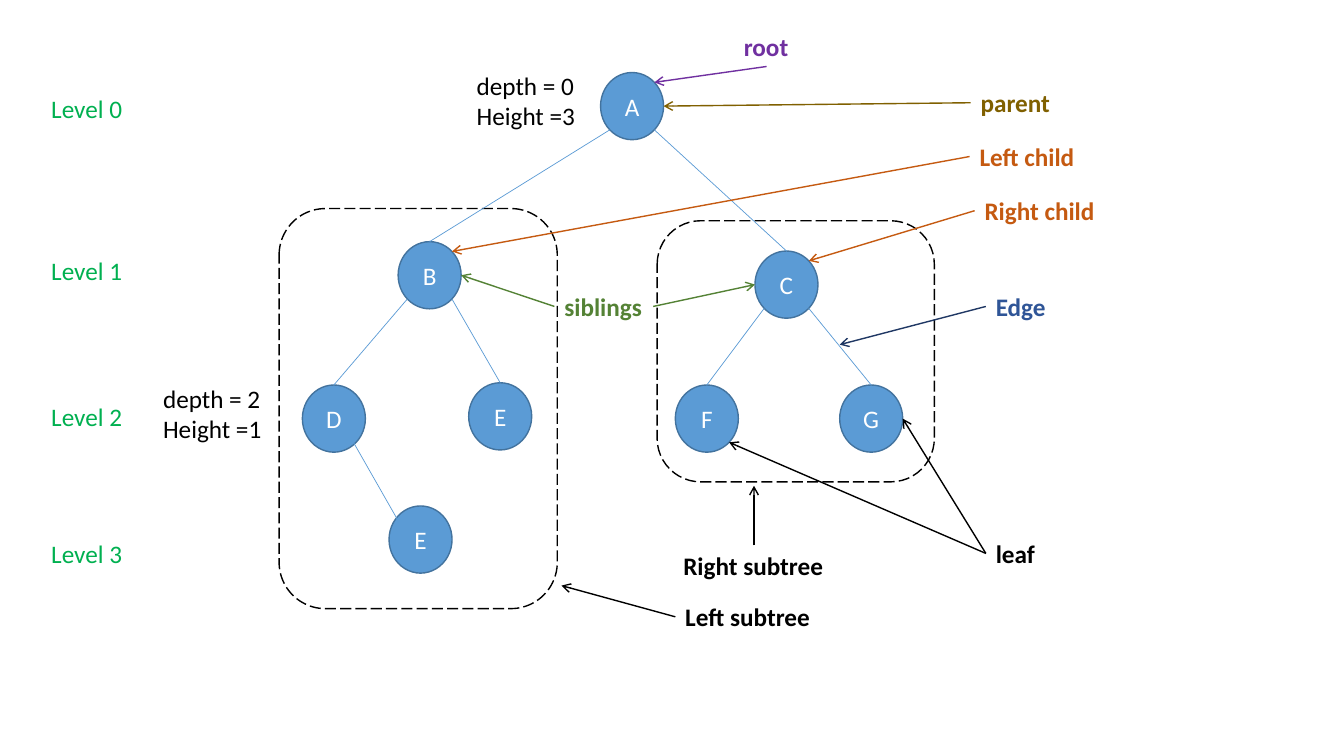
from dataclasses import dataclass
from math import sqrt

from lxml.etree import SubElement
from pptx import Presentation
from pptx.dml.color import RGBColor
from pptx.enum.dml import MSO_LINE
from pptx.enum.shapes import MSO_CONNECTOR, MSO_SHAPE
from pptx.enum.text import MSO_ANCHOR, MSO_AUTO_SIZE, PP_ALIGN
from pptx.oxml.ns import qn
from pptx.shapes.autoshape import Shape
from pptx.slide import Slide
from pptx.util import Pt

WHITE = RGBColor(0xFF, 0xFF, 0xFF)
BLACK = RGBColor(0x00, 0x00, 0x00)
BLUE = RGBColor(0x5B, 0x9B, 0xD5)
OUTLINE = RGBColor(0x43, 0x73, 0x9E)
PURPLE = RGBColor(0x70, 0x30, 0xA0)
ORANGE = RGBColor(0xC5, 0x5A, 0x11)
OLIVE = RGBColor(0x80, 0x60, 0x00)
MOSS = RGBColor(0x54, 0x82, 0x35)
GREEN = RGBColor(0x00, 0xB0, 0x50)
NAVY = RGBColor(0x20, 0x38, 0x64)
EDGE_BLUE = RGBColor(0x2F, 0x55, 0x97)

Point = tuple[float, float]

# Anchors are fractions of a box's width and height.
NEAR = (1 - sqrt(0.5)) / 2
FAR = 1 - NEAR
TOP, BOTTOM, LEFT, RIGHT = (0.5, 0), (0.5, 1), (0, 0.5), (1, 0.5)
UPPER_RIGHT, LOWER_LEFT, LOWER_RIGHT = (FAR, NEAR), (NEAR, FAR), (FAR, FAR)


@dataclass(frozen=True)
class Box:
    text: str
    left: float
    top: float
    width: float = 45
    height: float = 48

    def at(self, anchor: Point) -> Point:
        return self.left + anchor[0] * self.width, self.top + anchor[1] * self.height


@dataclass(frozen=True)
class Label(Box):
    height: float = 28.8
    color: RGBColor = BLACK
    bold: bool = True


@dataclass(frozen=True)
class Line:
    start: Point
    end: Point
    color: RGBColor = BLUE
    weight: float = 0.5
    arrow: bool = False


A = Box("A", 429, 51.8)
B = Box("B", 284.4, 172.6)
C = Box("C", 539.3, 179.3)
D = Box("D", 216, 275)
E = Box("E", 334.8, 273.4)
F = Box("F", 482.4, 275)
G = Box("G", 599.8, 275)
LOWEST = Box("E", 277.9, 361.4)
NODES = [A, B, C, D, E, F, G, LOWEST]

EDGES = [
    Line(parent.at(side), child.at(TOP))
    for parent, side, child in [
        (A, LOWER_LEFT, B), (A, LOWER_RIGHT, C), (B, LOWER_LEFT, D),
        (B, LOWER_RIGHT, E), (C, LOWER_LEFT, F), (C, LOWER_RIGHT, G),
    ]
] + [Line((251.3, 313.9), (285.8, 374.4))]

SUBTREES = [Box("", 199.4, 149, 198.7, 285.8), Box("", 469.4, 157.7, 198, 186.5)]

ROOT = Label("root", 524.2, 18.7, 46.8, color=PURPLE)
PARENT = Label("parent", 693.4, 59, 64.1, color=OLIVE)
LEFT_CHILD = Label("Left child", 692.6, 97.4, 87.8, color=ORANGE)
RIGHT_CHILD = Label("Right child", 696.2, 136.1, 97.9, color=ORANGE)
SIBLINGS = Label("siblings", 396, 204.5, 70.6, color=MOSS)
EDGE = Label("Edge", 704.2, 204.5, 50.4, color=EDGE_BLUE)
LEAF = Label("leaf", 704.2, 380.9, 42.5)
RIGHT_SUBTREE = Label("Right subtree", 481, 389.5, 115.2)
LEFT_SUBTREE = Label("Left subtree", 482.4, 426.2, 105.1)
LABELS = [
    ROOT, PARENT, LEFT_CHILD, RIGHT_CHILD, SIBLINGS, EDGE, LEAF, RIGHT_SUBTREE, LEFT_SUBTREE,
    Label("depth = 0\nHeight =3", 333.4, 46.8, 94.3, 51.1, bold=False),
    Label("depth = 2\nHeight =1", 109.4, 270, 94.3, 51.1, bold=False),
] + [
    Label(f"Level {level}", 29.5, top, 66.2, color=GREEN, bold=False)
    for level, top in enumerate([63.4, 178.6, 283, 380.9])
]

POINTERS = [
    Line(label.at(side), target, color, 1, True)
    for label, side, target, color in [
        (ROOT, BOTTOM, A.at(UPPER_RIGHT), PURPLE),
        (PARENT, LEFT, A.at(RIGHT), OLIVE),
        (LEFT_CHILD, LEFT, B.at(UPPER_RIGHT), ORANGE),
        (RIGHT_CHILD, LEFT, C.at(UPPER_RIGHT), ORANGE),
        (SIBLINGS, LEFT, B.at(RIGHT), MOSS),
        (SIBLINGS, RIGHT, C.at(LEFT), MOSS),
        (EDGE, LEFT, (599.8, 246.2), NAVY),
        (LEAF, LEFT, G.at(RIGHT), BLACK),
        (LEAF, LEFT, F.at(LOWER_RIGHT), BLACK),
        (RIGHT_SUBTREE, TOP, (538.6, 347), BLACK),
        (LEFT_SUBTREE, LEFT, (401, 418.3), BLACK),
    ]
]


def write(shape: Shape, text: str, *, color: RGBColor, bold: bool = False,
          align: PP_ALIGN = PP_ALIGN.LEFT) -> None:
    frame = shape.text_frame
    frame.text = text
    for para in frame.paragraphs:
        para.alignment = align
        font = para.runs[0].font
        font.name, font.size, font.bold = "Calibri", Pt(18), bold
        font.color.rgb = color


def add_box(page: Slide, kind: MSO_SHAPE, box: Box, outline: RGBColor) -> Shape:
    shape = page.shapes.add_shape(
        kind, Pt(box.left), Pt(box.top), Pt(box.width), Pt(box.height))
    shape.shadow.inherit = False
    shape.line.color.rgb = outline
    shape.line.width = Pt(1)
    return shape


def add_node(page: Slide, node: Box) -> None:
    shape = add_box(page, MSO_SHAPE.OVAL, node, OUTLINE)
    shape.fill.solid()
    shape.fill.fore_color.rgb = BLUE
    shape.text_frame.vertical_anchor = MSO_ANCHOR.MIDDLE
    write(shape, node.text, color=WHITE, align=PP_ALIGN.CENTER)


def add_subtree(page: Slide, subtree: Box) -> None:
    shape = add_box(page, MSO_SHAPE.ROUNDED_RECTANGLE, subtree, BLACK)
    shape.fill.background()
    shape.line.dash_style = MSO_LINE.LONG_DASH


def add_label(page: Slide, label: Label) -> None:
    shape = page.shapes.add_textbox(
        Pt(label.left), Pt(label.top), Pt(label.width), Pt(label.height))
    shape.text_frame.word_wrap = False
    shape.text_frame.auto_size = MSO_AUTO_SIZE.SHAPE_TO_FIT_TEXT
    write(shape, label.text, color=label.color, bold=label.bold)


def add_line(page: Slide, line: Line) -> None:
    connector = page.shapes.add_connector(
        MSO_CONNECTOR.STRAIGHT, *(Pt(length) for length in line.start + line.end))
    connector.line.color.rgb = line.color
    connector.line.width = Pt(line.weight)
    if line.arrow:
        SubElement(connector.line._get_or_add_ln(), qn("a:tailEnd"), type="arrow")
    SubElement(connector._element.spPr, qn("a:effectLst"))


def main() -> None:
    deck = Presentation()
    deck.slide_width, deck.slide_height = Pt(960), Pt(540)
    page = deck.slides.add_slide(deck.slide_layouts[6])
    for node in NODES:
        add_node(page, node)
    for subtree in SUBTREES:
        add_subtree(page, subtree)
    for line in EDGES + POINTERS:
        add_line(page, line)
    for label in LABELS:
        add_label(page, label)
    deck.save("out.pptx")


if __name__ == "__main__":
    main()
